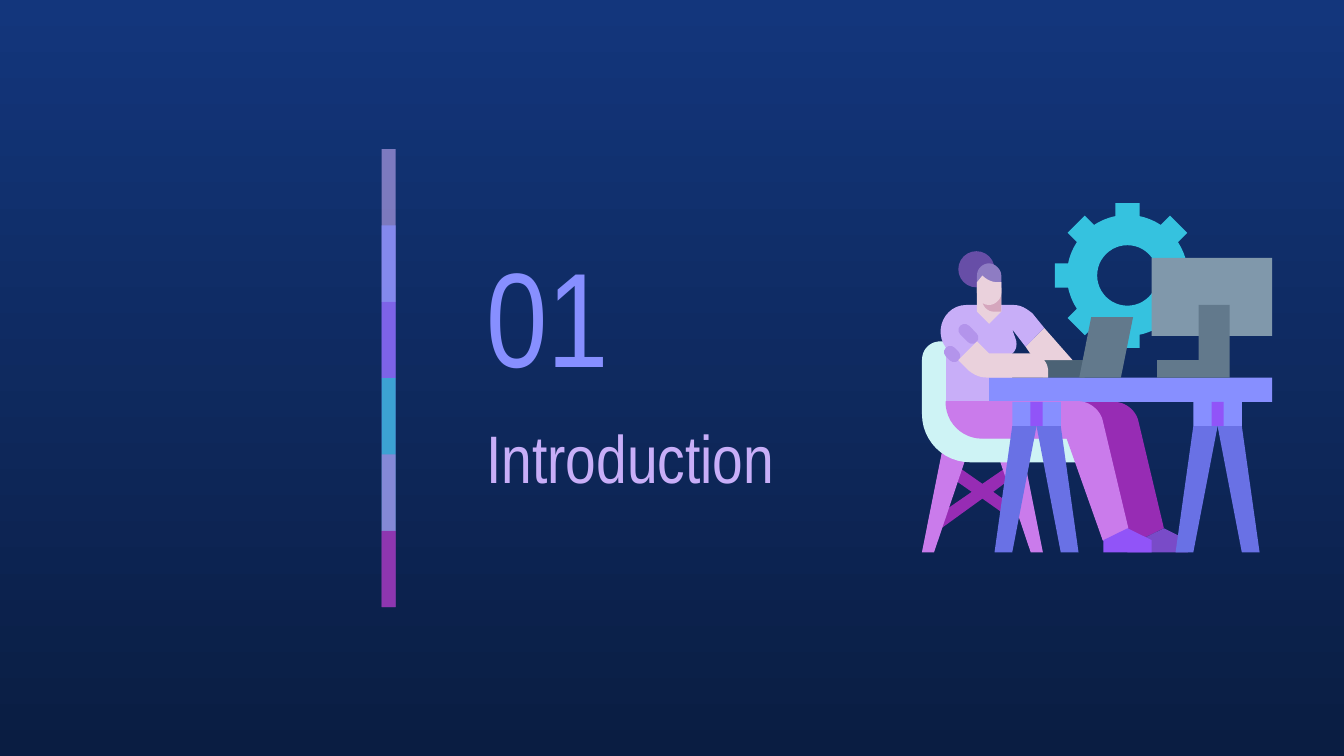
from dataclasses import dataclass
from math import asin, atan2, cos, hypot, pi, sin

from lxml.etree import SubElement
from pptx import Presentation
from pptx.dml.color import RGBColor
from pptx.enum.shapes import MSO_SHAPE
from pptx.enum.text import MSO_ANCHOR
from pptx.oxml.ns import qn
from pptx.util import Pt

FONT = "Arial Narrow"
ROUND = MSO_SHAPE.ROUNDED_RECTANGLE
STEPS = 12

LILAC, BLUE, VIOLET = "C8AEF8", "878FFF", "9154F8"
CYAN, PINK, PLUM = "35C2DF", "CA7BEB", "972CB4"
SKIN, STEEL, INDIGO = "EAD1DC", "62798C", "6971E5"

DESK, FLOOR = 215.3, 295.9  # underside of the desk, ground line


@dataclass
class Band:
    color: str
    alpha: int
    rows: int = 2


@dataclass
class Part:
    """An outline: pairs are corners, sixes are Bezier curves."""
    color: str
    nodes: list


BANDS = [Band(LILAC, 59), Band(BLUE, 74), Band(VIOLET, 53),
         Band(CYAN, 76), Band(PINK, 56), Band(PLUM, 74, 1)]

BRACE = Part(PLUM, [
    (511.9, 249.1), (508.3, 254.9), (520.6, 263.5), (499.7, 277.9),
    (503.3, 283.7), (526.3, 267.1), (538.6, 275.8), (542.2, 270.7),
    (532.1, 263.5), (543.6, 254.9), (540, 249.8), (526.3, 259.2)])
CHAIR = Part("CEF3F5", [
    (504, 182.9), (498.2, 182.9, 493.9, 187.2, 493.9, 193), (493.9, 221.8),
    (493.9, 236.2, 505.4, 247.7, 519.8, 247.7), (581, 247.7), (581, 231.8),
    (526.3, 231.8), (517.7, 231.8, 510.5, 224.6, 510.5, DESK), (510.5, 182.9)])
ARM = Part(SKIN, [(549.4, 185.8), (554.4, 193), (574.6, 193), (559.4, 175.7)])
SHIRT = Part(LILAC, [
    (517.7, 163.4), (506.2, 163.4, 499.7, 177.1, 506.9, 186.5), (506.9, DESK),
    (542.2, DESK), (542.2, 189.4), (544.3, 187.9, 545, 185, 544.3, 182.2),
    (542.2, 176.4), (549.4, 185.8), (559.4, 175.7), (553, 167.8),
    (550.1, 165.6, 547.2, 163.4, 542.9, 163.4)])
NECK = Part(SKIN, [(523.4, 154.1), (523.4, 167), (529.9, 173.5),
                   (536.4, 167), (536.4, 154.1)])
SLEEVE = Part(SKIN, [
    (523.4, 182.9), (513.4, 193), (519.1, 198.7),
    (522, 200.9, 524.9, 202.3, 528.5, 202.3), (561.6, 202.3), (561.6, 199.4),
    (561.6, 193.7, 557.3, 189.4, 552.2, 189.4), (529.9, 189.4)])
SCREEN = Part(STEEL, [(584.6, 169.9), (578.2, 202.3),
                      (600.5, 202.3), (607, 169.9)])
STAND = Part(STEEL, [(642.2, 163.4), (642.2, 193), (619.9, 193),
                     (619.9, 202.3), (658.8, 202.3), (658.8, 163.4)])
JAW = Part("D5A6BD", [
    (526.3, 154.1), (526.3, 160.6), (526.3, 164.2, 529.2, 167, 532.8, 167),
    (536.4, 167), (536.4, 154.1)])
HAIR = Part("8E7CC3", [
    (529.9, 141.1), (526.3, 141.1, 523.4, 144, 523.4, 147.6), (523.4, 154.1),
    (536.4, 154.1), (536.4, 147.6), (536.4, 144, 532.8, 141.1, 529.9, 141.1)])
FACE = Part(SKIN, [
    (526.3, 147.6), (523.4, 151.2), (523.4, 157),
    (523.4, 160.6, 526.3, 163.4, 529.9, 163.4),
    (532.8, 163.4, 536.4, 160.6, 536.4, 157), (536.4, 151.2), (534.2, 151.2),
    (531.4, 151.2, 528.5, 149.8, 526.3, 147.6)])


def rgb(code: str) -> RGBColor:
    return RGBColor.from_string(code)


def paint(shape, color: str, line: str = "", alpha: int = 100):
    shape.shadow.inherit = False
    shape.fill.solid()
    shape.fill.fore_color.rgb = rgb(color)
    if alpha < 100:
        tint = shape.fill._xPr.find(".//" + qn("a:srgbClr"))
        SubElement(tint, qn("a:alpha")).set("val", str(alpha * 1000))
    if line:
        shape.line.color.rgb = rgb(line)
        shape.line.width = Pt(0.75)
    else:
        shape.line.fill.background()
    return shape


def block(slide, x: float, y: float, w: float, h: float, color: str,
          kind=MSO_SHAPE.RECTANGLE, alpha: int = 100):
    shape = slide.shapes.add_shape(kind, Pt(x), Pt(y), Pt(w), Pt(h))
    return paint(shape, color, alpha=alpha)


def trace(nodes: list) -> list:
    """Turn corners and Bezier curves into plain points."""
    dots = []
    for node in nodes:
        if len(node) == 2:
            dots.append(node)
            continue
        ends = [dots[-1], node[:2], node[2:4], node[4:]]
        for i in range(1, STEPS + 1):
            t = i / STEPS
            mix = ((1 - t) ** 3, 3 * t * (1 - t) ** 2, 3 * t * t * (1 - t), t ** 3)
            dots.append(tuple(sum(m * p[k] for m, p in zip(mix, ends))
                              for k in (0, 1)))
    return dots


def draw(slide, part: Part, line: str = "", hole: tuple = ()) -> None:
    dots, *rings = [[(Pt(x), Pt(y)) for x, y in ring]
                    for ring in (trace(part.nodes), hole) if ring]
    pen = slide.shapes.build_freeform(*dots[0])
    pen.add_line_segments(dots[1:], close=True)
    for ring in rings:
        pen.move_to(*ring[0])
        pen.add_line_segments(ring[1:], close=True)
    paint(pen.convert_to_shape(), part.color, line)


def gear(slide, x: float, y: float, tip: float, root: float, bore: float,
         half: float, teeth: int = 8) -> None:
    def spot(r: float, a: float) -> tuple:
        return x + r * cos(a), y + r * sin(a)

    pitch = 2 * pi / teeth
    foot, head = asin(half / root), atan2(half, tip)
    rim = []
    for i in range(teeth):
        a = i * pitch
        rim += [spot(hypot(tip, half), a - head), spot(hypot(tip, half), a + head)]
        rim += [spot(root, a + foot + (pitch - 2 * foot) * k / STEPS)
                for k in range(STEPS + 1)]
    hole = [spot(bore, -2 * pi * k / 48) for k in range(48)]
    draw(slide, Part(CYAN, rim), hole=hole)


def leg(slide, dx: float, heel: float, cloth: str, shoe: str, line: str = "") -> None:
    """Draw a trouser leg and its shoe, moved right by dx."""
    hem = [(heel, 289.4), (591.1, 289.4), (604.1, 283)]
    thigh = [(506.9, DESK), (506.9, 226.1, 515.5, 234.7, 526.3, 234.7),
             (571.7, 234.7), *hem, (590.4, 225.4),
             (589, 219.6, 583.2, DESK, 577.4, DESK)]
    foot = [*hem[::-1], (heel, FLOOR), (617, FLOOR), (617, 289.4)]
    for nodes, color, edge in ((thigh, cloth, line), (foot, shoe, "")):
        moved = [tuple(v + dx * (i % 2 == 0) for i, v in enumerate(n))
                 for n in nodes]
        draw(slide, Part(color, moved), edge)


def splay(slide, mid: float, top: float, xs: tuple, color: str) -> None:
    """Draw a pair of legs mirrored about mid; xs are offsets from it."""
    for side in (1, -1):
        draw(slide, Part(color, [(mid + side * x, y) for x, y in
                                 zip(xs, (top, FLOOR, FLOOR, top))]))


def trestle(slide, mid: float) -> None:
    block(slide, mid - 13, DESK, 26, 13, BLUE)
    block(slide, mid - 3.25, DESK, 6.5, 13, VIOLET)
    splay(slide, mid, DESK + 13, (13, 22.5, 13, 0), INDIGO)


def patch(slide, x: float, y: float, w: float) -> None:
    shape = block(slide, x - w / 2, y - 3.3, w, 6.6, "B394EB", ROUND)
    shape.adjustments[0] = 0.5
    shape.rotation = 45


def write(slide, text: str, x: float, y: float, w: float, h: float, *,
          size: int, color: str, anchor=MSO_ANCHOR.TOP) -> None:
    frame = slide.shapes.add_textbox(Pt(x), Pt(y), Pt(w), Pt(h)).text_frame
    frame.word_wrap = True
    frame.vertical_anchor = anchor
    frame.margin_left = frame.margin_right = Pt(7.2)
    frame.margin_top = frame.margin_bottom = Pt(7.2)
    run = frame.paragraphs[0].add_run()
    run.text = text
    run.font.name, run.font.size = FONT, Pt(size)
    run.font.color.rgb = rgb(color)


def main() -> None:
    deck = Presentation()
    deck.slide_width, deck.slide_height = Pt(720), Pt(405)
    slide = deck.slides.add_slide(deck.slide_layouts[6])
    back = slide.background.fill
    back.gradient()
    back.gradient_angle = 270
    for stop, color in zip(back.gradient_stops, ("13367C", "0A1D42")):
        stop.color.rgb = rgb(color)

    write(slide, "01", 253.4, 119.5, 126, 97.2, size=72, color=BLUE,
          anchor=MSO_ANCHOR.MIDDLE)
    write(slide, "Introduction", 253.4, 216, 206.6, 69.1, size=36, color=LILAC)

    gear(slide, 604, 147.6, tip=38.8, root=32.4, bore=16.2, half=6.5)
    block(slide, 558.7, 193, 22.3, 9.4, "4B6275")
    draw(slide, BRACE)
    splay(slide, 526.3, 238.3, (20.9, 32.4, 25.9, 6.5), PINK)
    draw(slide, CHAIR)
    leg(slide, 19.4, 584.6, PLUM, "794BC8")
    draw(slide, ARM)
    draw(slide, SHIRT)
    block(slide, 529.9, 202.3, 151.6, 13, BLUE)
    patch(slide, 510.1, 189.7, 9.6)
    patch(slide, 518.8, 178.9, 12.4)
    for part in (NECK, SLEEVE, SCREEN):
        draw(slide, part)
    leg(slide, 0, 591.1, PINK, VIOLET, line=PINK)
    block(slide, 617, 138.2, 64.5, 41.8, "8098AB")
    draw(slide, STAND)
    for mid in (652.3, 555.3):
        trestle(slide, mid)
    draw(slide, JAW)
    block(slide, 513.4, 134.6, 19.4, 19.4, "674EA7", MSO_SHAPE.OVAL)
    draw(slide, HAIR)
    draw(slide, FACE)

    for i, band in enumerate(BANDS):
        block(slide, 204.5, 79.9 + 40.9 * i, 7.5, 40.9 * band.rows,
              band.color, alpha=band.alpha)
    deck.save("out.pptx")


if __name__ == "__main__":
    main()
